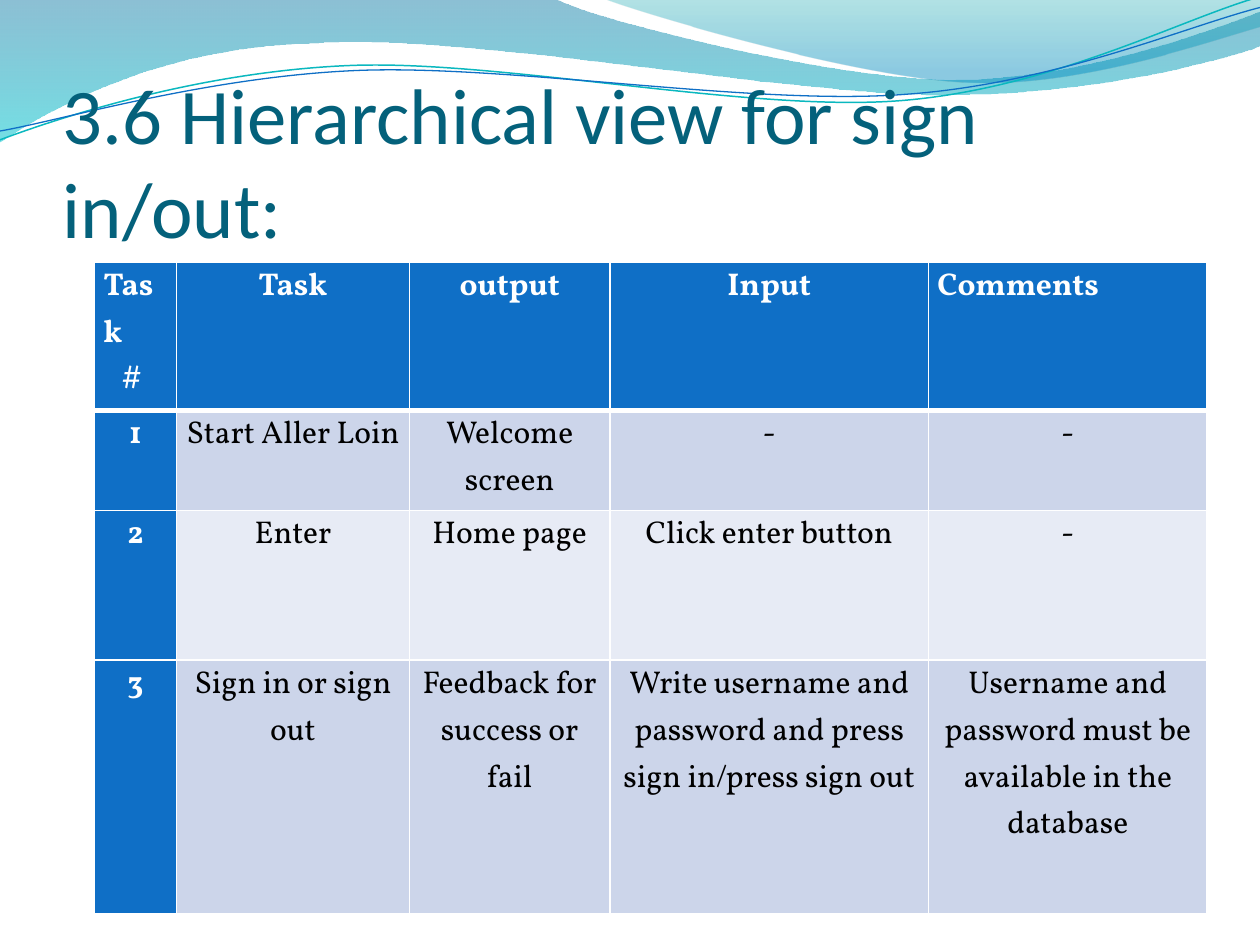
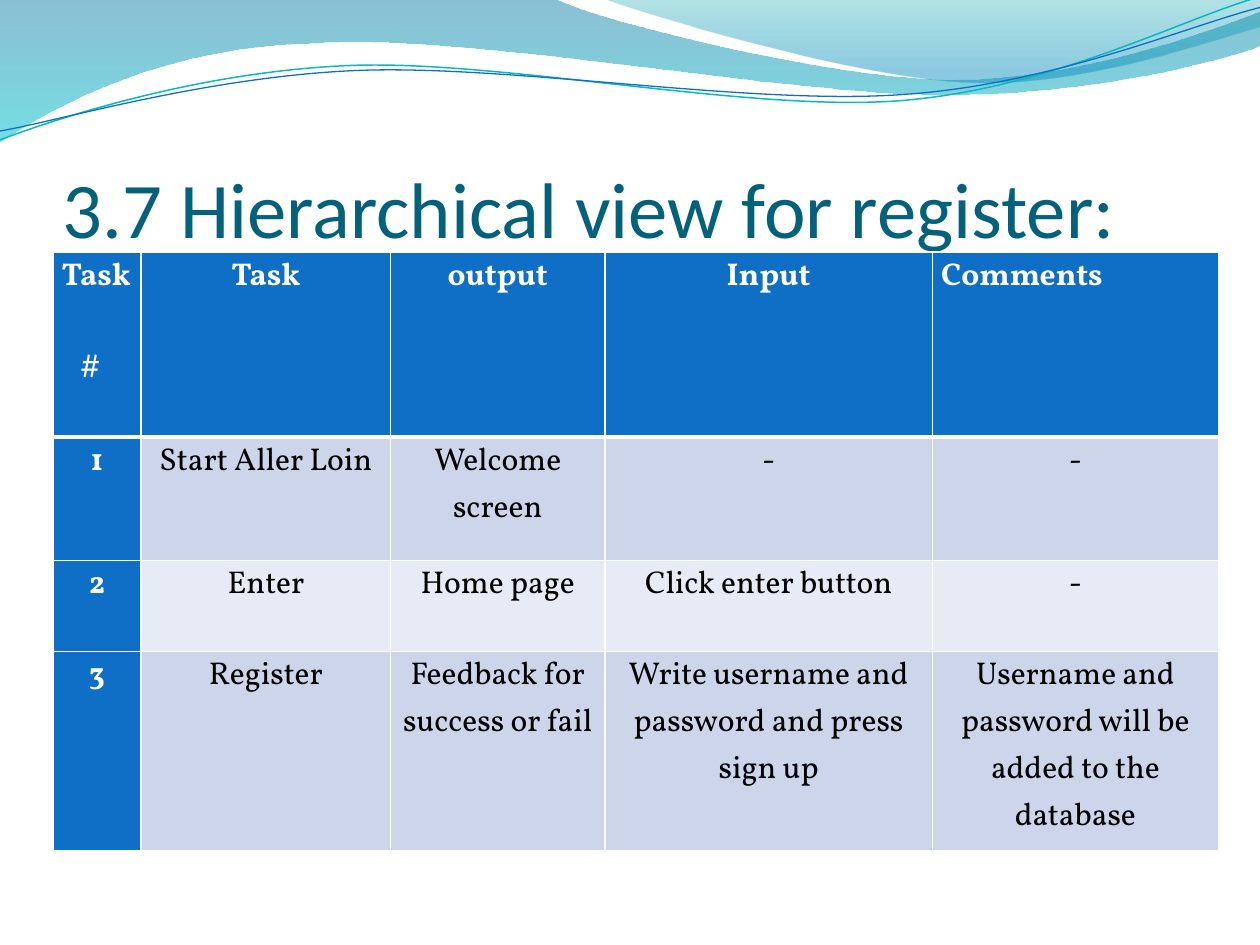
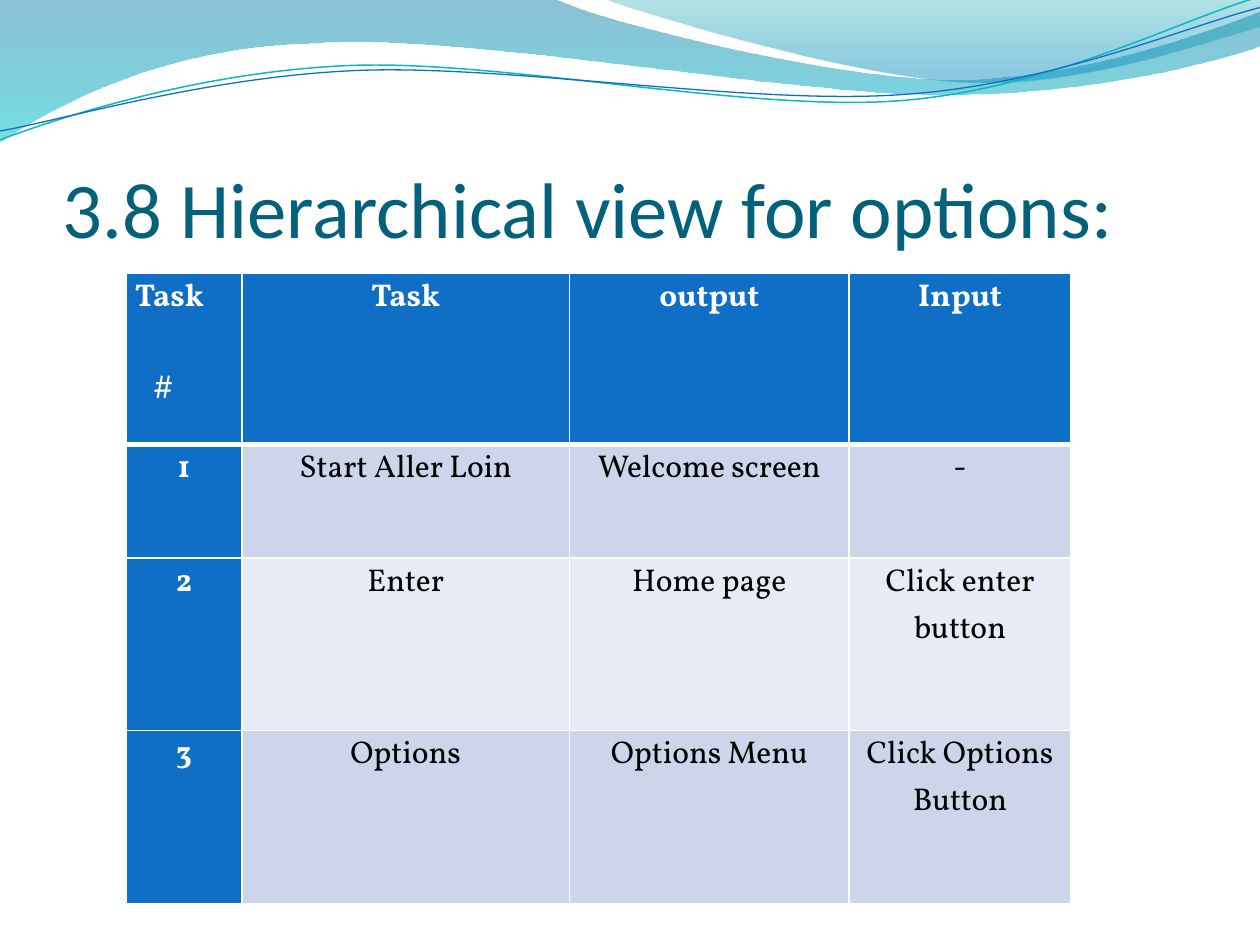
import math
from dataclasses import dataclass

from lxml import etree
from pptx import Presentation
from pptx import util as u
from pptx.dml import color
from pptx.enum import text
from pptx.oxml import ns


@dataclass(frozen=True)
class Theme:
    title: str = "04617B"
    header: str = "0F6FC6"
    bands: tuple[str, str] = ("CCD5EA", "E7EBF5")
    light: str = "FFFFFF"
    dark: str = "000000"
    title_font: str = "Calibri"
    table_font: str = "Vollkorn"
    title_size: float = 45
    table_size: float = 18
    line_spacing: float = 1.07
    rule: float = 1
    header_rule: float = 3


Point = tuple[float, float]


@dataclass(frozen=True)
class Stop:
    position: float
    rgb: str
    opacity: int


@dataclass(frozen=True)
class Wave:
    start: Point
    segments: tuple[tuple[Point, ...], ...]
    stops: tuple[Stop, ...] = ()
    stroke: str = ""
    weight: float = 0
    tilt: float = 0
    pivot: Point = (0, 0)


@dataclass(frozen=True)
class TaskView:
    title: str
    left: float
    top: float
    widths: tuple[float, ...]
    heights: tuple[float, ...]
    tasks: tuple[tuple[str, ...], ...]
    number_sign_gap: float = 26


THEME = Theme()
HEADINGS = ("Task", "Task", "output", "Input", "Comments")
FIRST_TASKS = (
    ("1", "Start Aller Loin", "Welcome screen", "-", "-"),
    ("2", "Enter", "Home page", "Click enter button", "-"),
)

WAVES = (
    Wave(
        (0, 0),
        (
            ((4.4, -0.01),),
            ((4.76, 0.17), (6.64, 0.63), (7.58, 0.63)),
            ((8.53, 0.63), (9.58, 0.26), (10, 0.09)),
            ((10.01, 0.36),),
            ((9.83, 0.44), (8.7, 0.76), (7.46, 0.75)),
            ((6.22, 0.75), (3.82, 0.28), (2.57, 0.34)),
            ((1.29, 0.36), (0.46, 0.83), (-0.01, 1.13)),
            ((0, 0),),
        ),
        stops=(Stop(0, "0074A1", 45), Stop(1, "00C6CF", 55)),
    ),
    Wave(
        (4.79, -0.01),
        (
            ((5.09, 0.11), (6.82, 0.62), (7.69, 0.65)),
            ((8.56, 0.69), (9.61, 0.32), (10, 0.21)),
            ((10, 0),),
            ((4.79, -0.01),),
        ),
        stops=(Stop(0, "00A1A9", 30), Stop(0.8, "008BBF", 45)),
    ),
    Wave(
        (0, 1.11),
        (
            ((0.48, 0.93), (1.58, 0.57), (2.77, 0.52)),
            ((3.95, 0.47), (5.93, 0.89), (7.13, 0.8)),
            ((8.33, 0.71), (9.38, 0.15), (9.98, -0.02)),
        ),
        stroke="0AB8BF",
        weight=0.85,
        tilt=-2.7,
        pivot=(4.99, 0.57),
    ),
    Wave(
        (0, 1.04),
        (
            ((0.47, 0.96), (1.64, 0.61), (2.83, 0.56)),
            ((4.03, 0.51), (5.97, 0.84), (7.17, 0.75)),
            ((8.36, 0.67), (9.41, 0.21), (10, 0.06)),
        ),
        stroke="0F6FC6",
        weight=0.75,
        tilt=-2.7,
        pivot=(5, 0.59),
    ),
)

VIEWS = (
    TaskView(
        "3.6 Hierarchical view for sign in/out:",
        0.75, 2.08,
        (0.65, 1.85, 1.59, 2.53, 2.21),
        (1.18, 0.79, 1.19, 2.01),
        FIRST_TASKS + ((
            "3", "Sign in or sign out", "Feedback for success or fail",
            "Write username and password and press sign in/press sign out",
            "Username and password must be available in the database",
        ),),
        number_sign_gap=0,
    ),
    TaskView(
        "3.7 Hierarchical view for register:",
        0.42, 2,
        (0.7, 1.98, 1.7, 2.6, 2.27),
        (1.47, 0.98, 0.72, 1.58),
        FIRST_TASKS + ((
            "3", "Register", "Feedback for success or fail",
            "Write username and password and press sign up",
            "Username and password will be added to the database",
        ),),
    ),
    TaskView(
        "3.8 Hierarchical view for options:",
        1, 2.17,
        (0.92, 2.6, 2.22, 1.76),
        (1.36, 0.9, 1.37, 1.37),
        FIRST_TASKS + (("3", "Options", "Options Menu", "Click Options Button"),),
    ),
)


def rgb(value: str) -> color.RGBColor:
    return color.RGBColor.from_string(value)


def apply(target, values: dict) -> None:
    for name, value in values.items():
        setattr(target, name, value)


def style_font(font, name: str, size: float, ink: str, bold: bool = False) -> None:
    apply(font, {"name": name, "size": u.Pt(size), "bold": bold})
    font.color.rgb = rgb(ink)


def level(point: Point, wave: Wave) -> tuple[int, int]:
    angle = math.radians(-wave.tilt)
    across, down = point[0] - wave.pivot[0], point[1] - wave.pivot[1]
    return (
        u.Inches(wave.pivot[0] + across * math.cos(angle) - down * math.sin(angle)),
        u.Inches(wave.pivot[1] + across * math.sin(angle) + down * math.cos(angle)),
    )


def bend(ribbon, segments: tuple[tuple[Point, ...], ...]) -> None:
    steps = iter(list(ribbon.element.iter(ns.qn("a:lnTo"))))
    for segment in segments:
        corners = [next(steps) for _ in segment]
        if len(corners) == 1:
            continue
        curve = etree.Element(ns.qn("a:cubicBezTo"))
        corners[0].addprevious(curve)
        for corner in corners:
            curve.append(corner[0])
            corner.getparent().remove(corner)


def draw_wave(slide, wave: Wave) -> None:
    outline = [level(point, wave) for segment in wave.segments for point in segment]
    builder = slide.shapes.build_freeform(*level(wave.start, wave))
    builder.add_line_segments(outline, close=bool(wave.stops))
    ribbon = builder.convert_to_shape()
    bend(ribbon, wave.segments)
    ribbon.rotation = wave.tilt
    ribbon.shadow.inherit = False
    if not wave.stops:
        ribbon.fill.background()
        ribbon.line.color.rgb = rgb(wave.stroke)
        ribbon.line.width = u.Pt(wave.weight)
        return
    ribbon.line.fill.background()
    ribbon.fill.gradient()
    ribbon.fill.gradient_angle = 270
    for gradient_stop, stop in zip(ribbon.fill.gradient_stops, wave.stops):
        gradient_stop.color.rgb = rgb(stop.rgb)
        gradient_stop.position = stop.position
    tints = ribbon.element.spPr.iter(ns.qn("a:srgbClr"))
    for tint, stop in zip(tints, wave.stops):
        etree.SubElement(tint, ns.qn("a:alpha"), val=str(stop.opacity * 1000))


def draw_title(slide, title: str) -> None:
    frame = slide.shapes.add_textbox(
        u.Inches(0.5), u.Inches(0.77), u.Inches(9), u.Inches(1.25)
    ).text_frame
    apply(frame, {
        "word_wrap": True,
        "vertical_anchor": text.MSO_ANCHOR.BOTTOM,
        "margin_left": 0,
        "margin_top": u.Inches(0.05),
        "margin_right": 0,
        "margin_bottom": 0,
    })
    run = frame.paragraphs[0].add_run()
    run.text = title
    style_font(run.font, THEME.title_font, THEME.title_size, THEME.title)


def draw_borders(cell, weights: dict[str, float]) -> None:
    properties = cell._tc.get_or_add_tcPr()
    for position, (side, weight) in enumerate(weights.items()):
        border = etree.Element(ns.qn(f"a:ln{side}"), w=str(u.Pt(weight)))
        fill = etree.SubElement(border, ns.qn("a:solidFill"))
        etree.SubElement(fill, ns.qn("a:srgbClr"), val=THEME.light)
        properties.insert(position, border)


def write_paragraph(paragraph, words: str, alignment, ink: str, bold: bool) -> None:
    apply(paragraph, {"alignment": alignment, "line_spacing": THEME.line_spacing})
    run = paragraph.add_run()
    run.text = words
    style_font(run.font, THEME.table_font, THEME.table_size, ink, bold)


def draw_cell(cell, words: str, row: int, column: int) -> None:
    strong = row == 0 or column == 0
    apply(cell, {
        "margin_left": u.Inches(0.07),
        "margin_right": u.Inches(0.07),
        "margin_top": 0,
        "margin_bottom": 0,
    })
    cell.fill.solid()
    cell.fill.fore_color.rgb = rgb(THEME.header if strong else THEME.bands[(row - 1) % 2])
    draw_borders(cell, {
        "L": THEME.rule,
        "R": THEME.rule,
        "T": THEME.header_rule if row == 1 else THEME.rule,
        "B": THEME.header_rule if row == 0 else THEME.rule,
    })
    at_left = row == 0 and column in (0, len(HEADINGS) - 1)
    write_paragraph(
        cell.text_frame.paragraphs[0],
        words,
        text.PP_ALIGN.LEFT if at_left else text.PP_ALIGN.CENTER,
        THEME.light if strong else THEME.dark,
        strong,
    )


def draw_number_sign(cell, gap: float) -> None:
    paragraph = cell.text_frame.add_paragraph()
    paragraph._p.get_or_add_pPr().set("marL", str(u.Inches(0.15)))
    paragraph.space_before = u.Pt(gap)
    write_paragraph(paragraph, "#", text.PP_ALIGN.LEFT, THEME.light, True)


def draw_tasks(slide, view: TaskView) -> None:
    table = slide.shapes.add_table(
        len(view.heights), len(view.widths),
        u.Inches(view.left), u.Inches(view.top),
        u.Inches(sum(view.widths)), u.Inches(sum(view.heights)),
    ).table
    for column, width in zip(table.columns, view.widths):
        column.width = u.Inches(width)
    for row, height in zip(table.rows, view.heights):
        row.height = u.Inches(height)
    for row, entries in enumerate((HEADINGS, *view.tasks)):
        for column, words in enumerate(entries[:len(view.widths)]):
            draw_cell(table.cell(row, column), words, row, column)
    draw_number_sign(table.cell(0, 0), view.number_sign_gap)


def main() -> None:
    deck = Presentation()
    apply(deck, {"slide_width": u.Inches(10), "slide_height": u.Inches(7.5)})
    for view in VIEWS:
        slide = deck.slides.add_slide(deck.slide_layouts[6])
        for wave in WAVES:
            draw_wave(slide, wave)
        draw_title(slide, view.title)
        draw_tasks(slide, view)
    deck.save("out.pptx")


if __name__ == "__main__":
    main()
